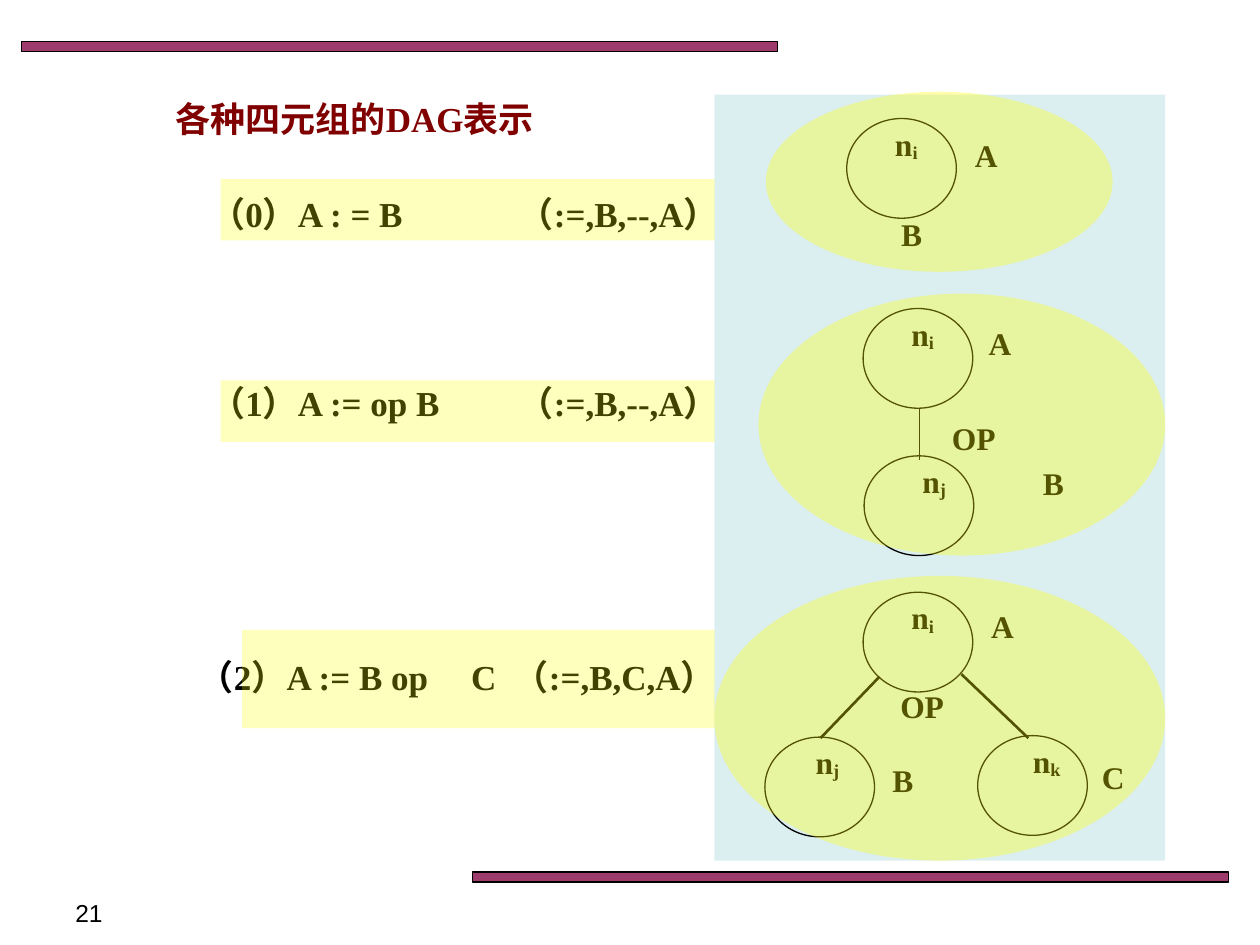
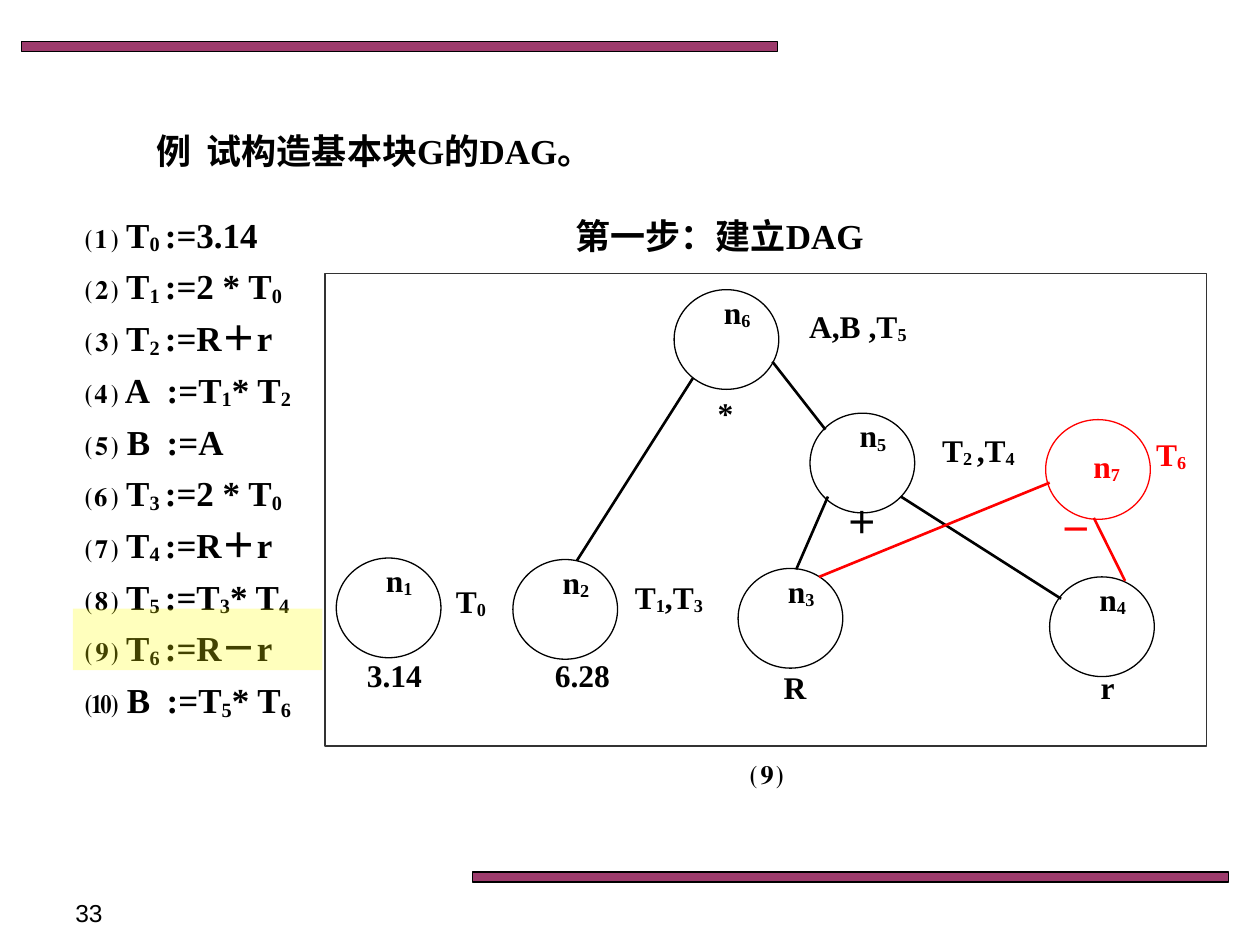
from dataclasses import dataclass
from lxml.etree import SubElement
from pptx import Presentation
from pptx.dml.color import RGBColor
from pptx.enum.shapes import MSO_CONNECTOR, MSO_SHAPE
from pptx.enum.text import PP_ALIGN
from pptx.oxml.ns import qn
from pptx.util import Cm, Pt


@dataclass(frozen=True)
class Theme:
    black: str = "000000"
    maroon: str = "800000"
    red: str = "FF0000"
    bar: str = "993366"
    panel: str = "BBE0E3"
    yellow: str = "FFFF00"
    frame: str = "333333"
    serif: str = "Times New Roman"
    sans: str = "Arial"
    large: int = 20
    medium: int = 18
    small: int = 14
    thin: float = 0.75
    thick: float = 1.5
    subscript: str = "-10000"


T = Theme()
HEADING = {"name": T.serif, "size": Pt(T.large), "bold": True}
LABEL = {"name": T.serif, "size": Pt(T.medium), "bold": True}
NUMBER = {"name": T.sans, "size": Pt(T.small), "bold": False}
RECT, OVAL = MSO_SHAPE.RECTANGLE, MSO_SHAPE.OVAL
CENTER, LEFT = PP_ALIGN.CENTER, PP_ALIGN.LEFT


def add_runs(p, text, fmt, color):
    for i, part in enumerate(text.split("_")):
        if not part:
            continue
        r = p.add_run()
        r.text = part
        for key, value in fmt.items():
            setattr(r.font, key, value)
        r.font.color.rgb = RGBColor.from_string(color)
        if i % 2:
            r.font._element.set("baseline", T.subscript)


def set_tabs(p, stops):
    tab_list = SubElement(p._p.get_or_add_pPr(), qn("a:tabLst"))
    for stop in stops:
        SubElement(tab_list, qn("a:tab"), pos=str(Cm(stop)), algn="l")


def add_text(s, lines, x, y, w, h=1.09, fmt=HEADING, color=T.black,
             align=CENTER, tabs=(), gap=0):
    tf = s.shapes.add_textbox(Cm(x), Cm(y), Cm(w), Cm(h)).text_frame
    tf.word_wrap = True
    for i, line in enumerate(lines):
        p = tf.add_paragraph() if i else tf.paragraphs[0]
        p.alignment = align
        if i and gap:
            p.space_before = Pt(gap)
        if tabs:
            set_tabs(p, tabs)
        add_runs(p, line, fmt, color)


def add_label(s, text, x, y, w, color=T.black):
    add_text(s, [text], x, y, w, 1.27, LABEL, color)


def add_shape(s, kind, x, y, w, h, fill=None, alpha=100, line=None):
    sp = s.shapes.add_shape(kind, Cm(x), Cm(y), Cm(w), Cm(h))
    sp.shadow.inherit = False
    if fill:
        sp.fill.solid()
        sp.fill.fore_color.rgb = RGBColor.from_string(fill)
        clr = sp._element.spPr.find(qn("a:solidFill"))[0]
        SubElement(clr, qn("a:alpha"), val=str(alpha * 1000))
    else:
        sp.fill.background()
    if line:
        sp.line.color.rgb = RGBColor.from_string(line)
        sp.line.width = Pt(T.thin)
    else:
        sp.line.fill.background()


def add_node(s, sub, x, y, w=2.11, dx=0.29, dy=-0.06, label_w=1.96, color=T.black):
    add_shape(s, OVAL, x, y, w, 2.01, line=color)
    add_label(s, f"n_{sub}_", x + dx, y + dy, label_w, color)


def add_edge(s, x1, y1, x2, y2, color=T.black, width=T.thick):
    c = s.shapes.add_connector(MSO_CONNECTOR.STRAIGHT, Cm(x1), Cm(y1), Cm(x2), Cm(y2))
    c.line.color.rgb = RGBColor.from_string(color)
    c.line.width = Pt(width)
    SubElement(c._element.spPr, qn("a:effectLst"))


def add_page(prs, number):
    s = prs.slides.add_slide(prs.slide_layouts[6])
    for x, y in ((0.43, 0.84), (9.53, 17.58)):
        add_shape(s, RECT, x, y, 15.24, 0.2, T.bar, 96, T.black)
    add_text(s, [number], 1.27, 17.98, 5.92, 0.69, NUMBER, align=LEFT)
    return s


def build_quadruples(prs):
    s = add_page(prs, "21")
    add_text(s, ["各种四元组的DAG表示"], 1.75, 1.85, 10.8, color=T.maroon)
    for text, x, y, tabs in (
        ("（0）A : = B\t（:=,B,--,A）", 3.99, 3.76, [6.22]),
        ("（1）A := op B\t（:=,B,--,A）", 3.99, 7.57, [6.22]),
        ("（2）A := B op\tC\t（:=,B,C,A）", 3.76, 13.08, [5.49, 6.35]),
    ):
        add_text(s, [text], x, y, 11.86, align=LEFT, tabs=tabs)

    add_shape(s, RECT, 14.4, 1.91, 9.09, 15.44, T.panel, 50)
    for sub, x, y, dx, label_w in (
        ("i", 17.07, 2.39, 0.4, 1.6),
        ("i", 17.4, 6.22, 0.4, 1.6),
        ("j", 17.42, 9.19, 0.4, 2.03),
        ("i", 17.4, 11.94, 0.4, 1.6),
        ("k", 19.71, 14.83, 0.3, 2.18),
        ("j", 15.42, 14.86, 0.36, 1.8),
    ):
        add_node(s, sub, x, y, 2.21, dx, 0, label_w)
    add_edge(s, 18.54, 8.23, 18.54, 9.27, width=T.thin)
    add_edge(s, 17.73, 13.64, 16.54, 14.88)
    add_edge(s, 20.73, 14.88, 19.38, 13.59)
    for text, x, y, w in (
        ("B", 17.68, 4.22, 1.4),
        ("A", 19.18, 2.62, 1.4),
        ("A", 19.46, 6.4, 1.4),
        ("OP", 18.69, 8.33, 1.88),
        ("B", 20.6, 9.22, 1.27),
        ("A", 19.51, 12.12, 1.4),
        ("OP", 17.65, 13.72, 1.88),
        ("B", 17.5, 15.21, 1.4),
        ("C", 21.74, 15.16, 1.4),
    ):
        add_label(s, text, x, y, w)

    for band, halo in (
        ((4.45, 3.61, 9.96, 1.24), (15.44, 1.85, 6.99, 3.63)),
        ((4.45, 7.67, 9.96, 1.24), (15.29, 5.92, 8.2, 5.28)),
        ((4.88, 12.7, 9.53, 1.98), (14.4, 11.61, 9.09, 5.74)),
    ):
        add_shape(s, RECT, *band, T.yellow, 26)
        add_shape(s, OVAL, *halo, T.yellow, 33)


def build_dag_example(prs):
    s = add_page(prs, "33")
    add_text(s, ["例\t试构造基本块G的DAG。"], 2.9, 2.49, 11, align=LEFT, tabs=[1.02])
    add_text(s, ["第一步：建立DAG"], 7.62, 4.19, 13.77)
    statements = [
        "⑴ T_0 _:=3.14",
        "⑵ T_1 _:=2 * T_0_",
        "⑶ T_2 _:=R＋r",
        "⑷ A\t:=T_1_* T_2_",
        "⑸ B\t:=A",
        "⑹ T_3 _:=2 * T_0_",
        "⑺ T_4 _:=R＋r",
        "⑻ T_5 _:=T_3_* T_4_",
        "⑼ T_6 _:=R－r",
        "⑽ B\t:=T_5_* T_6_",
    ]
    add_text(s, statements, 1.47, 4.17, 6.15, 10.34, align=LEFT, tabs=[1.64], gap=5.3)
    add_shape(s, RECT, 6.55, 5.51, 17.78, 9.53, line=T.frame)
    add_text(s, ["⑼"], 14.61, 14.99, 1.7)

    for sub, x, y in (
        ("1", 6.78, 11.25),
        ("2", 10.34, 11.28),
        ("3", 14.88, 11.46),
        ("4", 21.16, 11.63),
        ("5", 16.33, 8.33),
        ("6", 13.59, 5.84),
    ):
        add_node(s, sub, x, y)
    add_node(s, "7", 21.08, 8.46, dx=0.25, dy=0.43, color=T.red)

    for ends in (
        (16.69, 10.01, 16.05, 11.48),
        (21.39, 12.07, 18.16, 10.01),
        (13.97, 7.62, 11.63, 11.3),
        (15.57, 7.29, 16.64, 8.66),
    ):
        add_edge(s, *ends)
    for ends in ((16.51, 11.63, 21.16, 9.73), (22.05, 10.44, 22.68, 11.71)):
        add_edge(s, *ends, color=T.red)

    for text, x, y, w in (
        ("T_0_", 8.76, 11.61, 1.47),
        ("3.14", 6.78, 13.11, 2.34),
        ("T_1_,T_3_", 12.19, 11.53, 2.59),
        ("6.28", 10.57, 13.11, 2.34),
        ("R", 15.16, 13.34, 1.73),
        ("r", 21.16, 13.34, 2.34),
        ("＋", 16.64, 10.01, 1.47),
        ("T_2 _,T_4_", 18.29, 8.56, 2.87),
        ("*", 13.89, 7.82, 1.47),
        ("A,B ,T_5_", 15.54, 6.07, 3.51),
    ):
        add_label(s, text, x, y, w)
    add_label(s, "T_6_", 22.98, 8.64, 1.26, T.red)
    add_label(s, "－", 20.96, 10.16, 1.47, T.red)
    add_shape(s, RECT, 1.47, 12.27, 5.03, 1.24, T.yellow, 26)


def main():
    prs = Presentation()
    prs.slide_width, prs.slide_height = Cm(25.4), Cm(19.05)
    build_quadruples(prs)
    build_dag_example(prs)
    prs.save("out.pptx")


if __name__ == "__main__":
    main()
